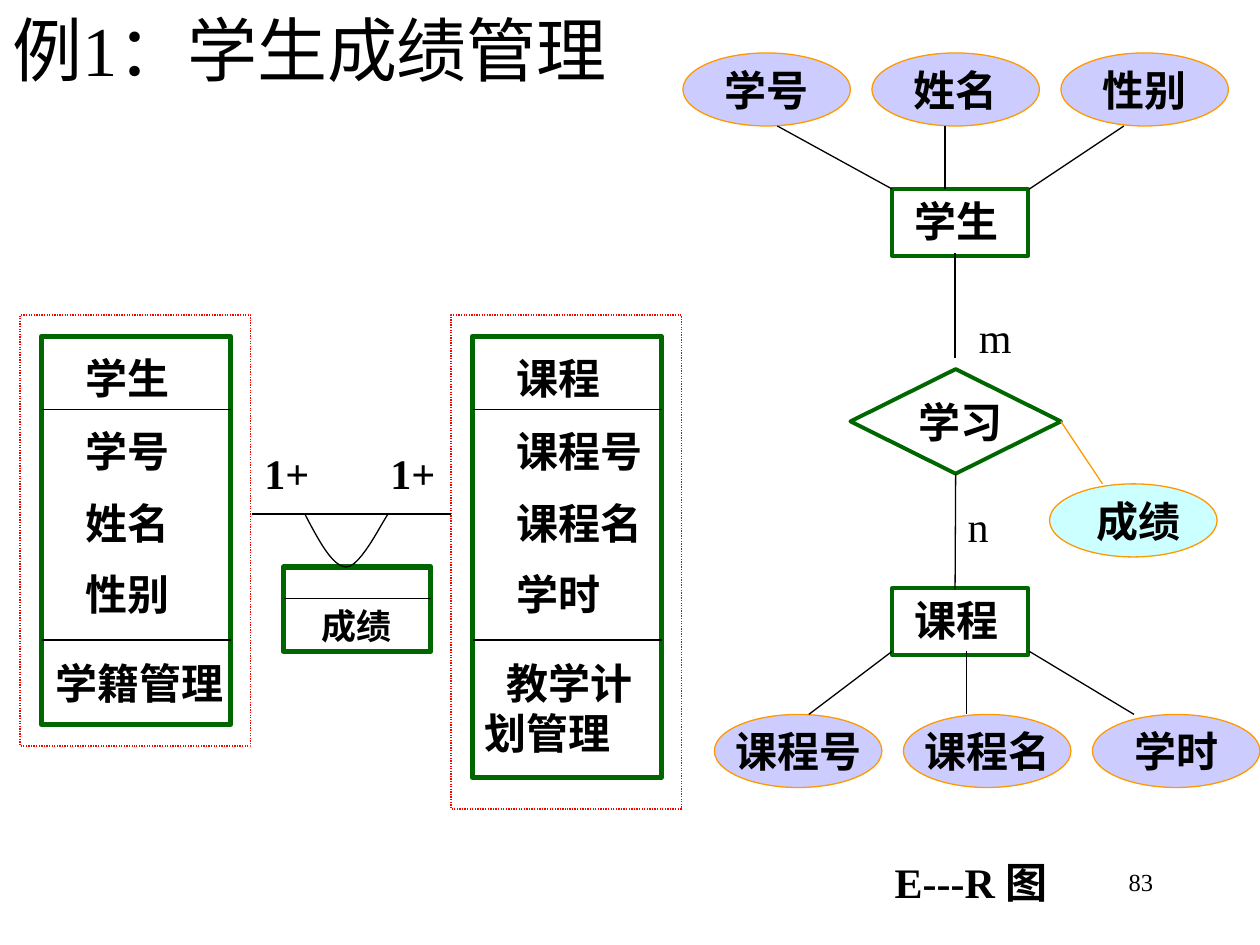
from pptx import Presentation
from pptx.dml.color import RGBColor
from pptx.enum.dml import MSO_LINE
from pptx.enum.shapes import MSO_CONNECTOR, MSO_SHAPE
from pptx.enum.text import MSO_ANCHOR, PP_ALIGN
from pptx.oxml.ns import qn
from pptx.util import Inches, Pt
from lxml import etree

BLACK = RGBColor(0x00, 0x00, 0x00)
GREEN = RGBColor(0x00, 0x66, 0x00)
RED = RGBColor(0xFF, 0x00, 0x00)
ORANGE = RGBColor(0xFF, 0x99, 0x00)
LILAC = RGBColor(0xCC, 0xCC, 0xFF)
CYAN = RGBColor(0xCC, 0xFF, 0xFF)
RECT, OVAL, DIAMOND = MSO_SHAPE.RECTANGLE, MSO_SHAPE.OVAL, MSO_SHAPE.DIAMOND
STRAIGHT = MSO_CONNECTOR.STRAIGHT
DOTS = MSO_LINE.ROUND_DOT
TOP, MIDDLE = MSO_ANCHOR.TOP, MSO_ANCHOR.MIDDLE
LEFT, CENTER, RIGHT = PP_ALIGN.LEFT, PP_ALIGN.CENTER, PP_ALIGN.RIGHT
BOLD = {"name": "Times New Roman", "size": Pt(24), "bold": True}
PLAIN = {**BOLD, "bold": False}
SMALL = {**BOLD, "size": Pt(20)}

deck = Presentation()
deck.slide_width, deck.slide_height = Inches(10), Inches(7.5)
slide = deck.slides.add_slide(deck.slide_layouts[6])
shapes = slide.shapes


def draw(kind, box, edge, width, fill=None):
    shape = shapes.add_shape(kind, *map(Inches, box))
    shape.shadow.inherit = False
    if fill is None:
        shape.fill.background()
    else:
        shape.fill.solid()
        shape.fill.fore_color.rgb = fill
    shape.line.color.rgb = edge
    shape.line.width = Pt(width)
    return shape


def write(shape, lines, pad=0, style=BOLD, align=LEFT, anchor=TOP, wrap=True, first=0):
    frame = shape.text_frame
    layout = {"word_wrap": wrap, "vertical_anchor": anchor,
              "margin_left": Inches(0.1 + pad), "margin_right": Inches(0.1),
              "margin_top": Inches(0.05), "margin_bottom": Inches(0.05)}
    for key, value in layout.items():
        setattr(frame, key, value)
    for index, line in enumerate(lines):
        para = frame.add_paragraph() if index else frame.paragraphs[0]
        para.alignment = align
        if index:
            para.space_before = Pt(12)
        if first:
            para._p.get_or_add_pPr().set("indent", str(Inches(first)))
        run = para.add_run()
        run.text = line
        for key, value in style.items():
            setattr(run.font, key, value)
        run.font.color.rgb = BLACK


links = [
    (2, 4.08, 3.58, 4.08), (2.25, 4.75, 3.42, 4.75), (7.58, 2.84, 7.58, 2.01),
    (6.17, 1, 7.08, 1.5), (7.5, 1, 7.5, 1.5), (8.92, 1, 8.17, 1.5),
    (7.67, 5.17, 7.67, 5.67), (7.08, 5.17, 6.42, 5.67), (8.17, 5.17, 9, 5.67),
]
texts = [
    ((0, 0, 9.64, 0.92), ["例1：学生成绩管理"], {"style": {**PLAIN, "size": Pt(40)}}),
    ((7.17, 6.83, 2.08, 0.5), ["83"], {"style": {**PLAIN, "size": Pt(14)}, "align": RIGHT}),
    ((6.92, 6.75, 1.67, 0.5), ["E---R 图"], {"pad": 0.08}),
    ((2, 3.5, 0.75, 0.5), ["1+"], {}),
    ((3, 3.5, 0.75, 0.5), ["1+"], {}),
    ((2.17, 4.75, 1.33, 0.43), ["成绩"], {"pad": 0.28, "style": SMALL}),
    ((7.67, 2.42, 0.83, 0.5), ["m"], {"style": PLAIN}),
    ((7.5, 3.92, 0.83, 0.5), ["n"], {"pad": 0.08, "style": PLAIN}),
    ((0.17, 5.17, 1.83, 0.5), ["学籍管理"], {"pad": 0.17}),
    ((3.75, 5.17, 1.5, 0.9), ["教学计划管理"], {"first": 0.17}),
]

classes = [
    (0.33, 3.08, "学生", ["学号", "姓名", "性别"]),
    (3.75, 3.5, "课程", ["课程号", "课程名", "学时"]),
]
for left, height, name, fields in classes:
    draw(RECT, (left, 2.67, 1.5, height), GREEN, 3)
    frame = draw(RECT, (left - 0.17, 2.5, 1.83, height + 0.42 - 0.08), RED, 0.75)
    frame.height = Inches(height + (0.34 if height < 3.5 else 0.42))
    frame.line.dash_style = DOTS
    links += [(left, y, left + 1.5, y) for y in (3.25, 5.08)]
    texts += [((left + 0.08, 2.75, 1.42, 0.5), [name], {"pad": 0.17}),
              ((left + 0.08, 3.33, 1.42, 1.7), fields, {"pad": 0.17})]

draw(RECT, (2.25, 4.5, 1.17, 0.67), GREEN, 3)

curves = [
    ((2.42, 4.08), (2.53, 4.29), (2.64, 4.5), (2.75, 4.5)),
    ((2.75, 4.5), (2.86, 4.5), (3.03, 4.15), (3.08, 4.08)),
]
points = []
for curve in curves:
    for step in range(1, 13):
        t = step / 12
        parts = ((1 - t) ** 3, 3 * t * (1 - t) ** 2, 3 * t ** 2 * (1 - t), t ** 3)
        points.append([Inches(sum(w * p[axis] for w, p in zip(parts, curve)))
                       for axis in (0, 1)])
path = shapes.build_freeform(Inches(2.42), Inches(4.08))
path.add_line_segments(points, close=False)
arc = path.convert_to_shape()
arc.shadow.inherit = False
arc.fill.background()
arc.line.color.rgb = BLACK
arc.line.width = Pt(0.75)

for top, name in ((1.5, "学生"), (4.67, "课程")):
    write(draw(RECT, (7.08, top, 1.08, 0.53), GREEN, 2.25), [name], pad=0.08)

center = {"align": CENTER, "anchor": MIDDLE, "wrap": False}
study = draw(DIAMOND, (6.75, 2.93, 1.67, 0.83), GREEN, 2.25)
write(study, ["学习"], pad=0.08, **center)
grade = draw(OVAL, (8.33, 3.84, 1.33, 0.58), ORANGE, 0.75, CYAN)
write(grade, ["成绩"], pad=0.08, **center)

rows = [
    (5.42, 0.42, ["学号", "姓名", "性别"]),
    (5.67, 5.67, ["课程号", "课程名", "学时"]),
]
for left, top, names in rows:
    for col, name in enumerate(names):
        oval = draw(OVAL, (left + 1.5 * col, top, 1.33, 0.58), ORANGE, 0.75, LILAC)
        write(oval, [name], **center)

for box, lines, form in texts:
    write(shapes.add_textbox(*map(Inches, box)), lines, **form)

lines = [(ends, BLACK, None) for ends in links]
lines += [((7.58, 3.76, 7.58, 4.68), BLACK, 2), ((8.42, 3.34, 8.75, 3.84), ORANGE, 3)]
for ends, color, side in lines:
    link = shapes.add_connector(STRAIGHT, *map(Inches, ends))
    link.line.color.rgb = color
    link.line.width = Pt(0.75)
    etree.SubElement(link._element.spPr, qn("a:effectLst"))
    if side is not None:
        link.begin_connect(study, side)

deck.save("out.pptx")
